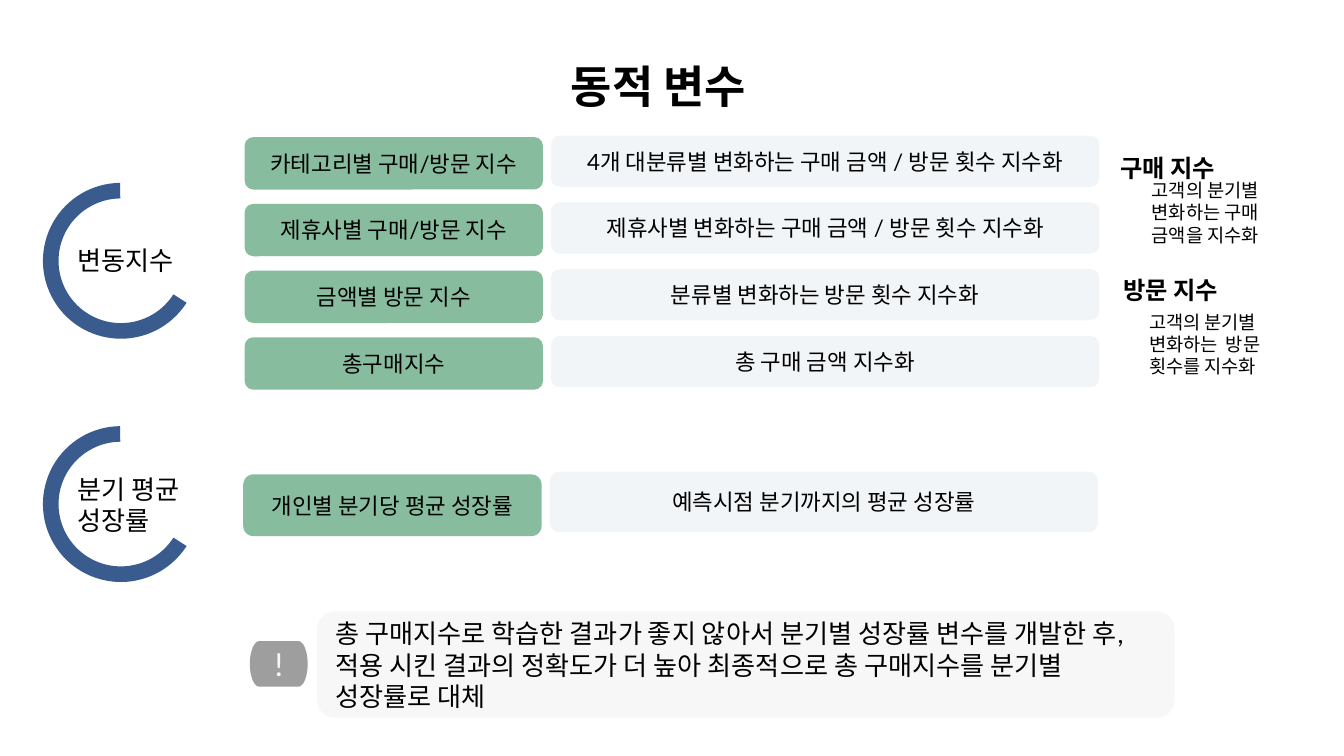
from lxml import etree
from pptx import Presentation
from pptx.dml.color import RGBColor
from pptx.enum.shapes import MSO_SHAPE as Shape
from pptx.enum.text import MSO_ANCHOR as Anchor, PP_ALIGN as Align
from pptx.oxml.ns import qn
from pptx.util import Inches, Pt

BLACK = RGBColor(0x00, 0x00, 0x00)
WHITE = RGBColor(0xFF, 0xFF, 0xFF)
BLUE = RGBColor(0x39, 0x5B, 0x8E)
GREEN = RGBColor(0x87, 0xBC, 0x9E)
PALE_BLUE = RGBColor(0xE3, 0xE9, 0xED)
PALE_GRAY = RGBColor(0xF7, 0xF7, 0xF7)
GRAY = RGBColor(0x9E, 0x9E, 0x9E)

PALE_OPACITY = 44
FIRST_ROW, LAST_ROW = 1.02, 2.51

INDEX_ROWS = [
    ("카테고리별 구매/방문 지수", "4개 대분류별 변화하는 구매 금액 / 방문 횟수 지수화"),
    ("제휴사별 구매/방문 지수", "제휴사별 변화하는 구매 금액 / 방문 횟수 지수화"),
    ("금액별 방문 지수", "분류별 변화하는 방문 횟수 지수화"),
    ("총구매지수", "총 구매 금액 지수화"),
]
ROW_PITCH = (LAST_ROW - FIRST_ROW) / (len(INDEX_ROWS) - 1)
CONCLUSION = [
    "총 구매지수로 학습한 결과가 좋지 않아서 분기별 성장률 변수를 개발한 후,",
    "적용 시킨 결과의 정확도가 더 높아 최종적으로 총 구매지수를 분기별 성장률로 대체",
]


def write(holder, lines, size, color=BLACK, bold=False, align=Align.LEFT,
          anchor=Anchor.MIDDLE, side=0.1):
    frame = holder.text_frame
    frame_format = {
        "word_wrap": True, "vertical_anchor": anchor,
        "margin_left": Inches(side), "margin_right": Inches(side),
        "margin_top": Inches(0.1), "margin_bottom": Inches(0.1),
    }
    for name, value in frame_format.items():
        setattr(frame, name, value)
    for i, line in enumerate(lines):
        paragraph = frame.paragraphs[0] if i == 0 else frame.add_paragraph()
        paragraph.alignment = align
        run = paragraph.add_run()
        run.text = line
        for name, value in {"name": "Lato", "size": Pt(size), "bold": bold}.items():
            setattr(run.font, name, value)
        run.font.color.rgb = color


def add_label(slide, box, text, size, **text_format):
    label = slide.shapes.add_textbox(*map(Inches, box))
    write(label, [text], size, **text_format)


def add_panel(slide, kind, box, fill, opacity=100):
    panel = slide.shapes.add_shape(kind, *map(Inches, box))
    panel.shadow.inherit = False
    panel.line.fill.background()
    panel.fill.solid()
    panel.fill.fore_color.rgb = fill
    if opacity < 100:
        tone = panel.fill._xPr.find(".//" + qn("a:srgbClr"))
        etree.SubElement(tone, qn("a:alpha"), val=str(opacity * 1000))
    return panel


def add_category(slide, left, top, name, text_top, text_height):
    """Open ring with the category name inside."""
    ring = add_panel(slide, Shape.BLOCK_ARC, (left, top, 1.16, 1.16), BLUE)
    ring.rotation = 284.4
    for i, value in enumerate((64.9, 207.01, 0.1)):
        ring.adjustments[i] = value
    add_label(slide, (left + 0.16, top + text_top, 1.04, text_height), name, 14,
              anchor=Anchor.TOP)


def add_variable(slide, left, top, height, name, meaning, meaning_top=-0.01):
    """Green variable name beside its pale description."""
    cells = [
        (name, (left, top, 2.22, height), GREEN, 100),
        (meaning, (left + 2.28, top + meaning_top, 4.08, height - 0.01),
         PALE_BLUE, PALE_OPACITY),
    ]
    for text, box, fill, opacity in cells:
        cell = add_panel(slide, Shape.FLOWCHART_ALTERNATE_PROCESS, box, fill, opacity)
        write(cell, [text], 12, align=Align.CENTER)


def add_definition(slide, left, top, term, meaning, meaning_left, meaning_top):
    """Bold term with an indented explanation below."""
    add_label(slide, (left, top, 1.63, 0.46), term, 13, bold=True)
    add_label(slide, (left + meaning_left, top + meaning_top, 1.72, 0.54), meaning, 10,
              side=0.3)


def add_conclusion(slide, left, top):
    """Exclamation badge and the closing remark."""
    badge = add_panel(slide, Shape.FLOWCHART_TERMINATOR,
                      (left, top + 0.22, 0.43, 0.34), GRAY)
    write(badge, ["!"], 17, color=PALE_GRAY, align=Align.CENTER)
    remark = add_panel(slide, Shape.ROUNDED_RECTANGLE,
                       (left + 0.5, top, 6.38, 0.79), PALE_GRAY)
    write(remark, CONCLUSION, 14)


def main():
    deck = Presentation()
    # Widescreen, 16:9
    deck.slide_width, deck.slide_height = Inches(10), Inches(10 * 9 / 16)
    slide = deck.slides.add_slide(deck.slide_layouts[6])
    slide.background.fill.solid()
    slide.background.fill.fore_color.rgb = WHITE

    # Title
    add_label(slide, (0, 0.34, 9.8, 0.63), "동적 변수", 24, bold=True,
              align=Align.CENTER, anchor=Anchor.TOP)

    # Categories
    add_category(slide, 0.32, 1.36, "변동지수", 0.36, 0.44)
    add_category(slide, 0.32, 3.17, "분기 평균 성장률", 0.25, 0.67)

    # Variables
    for i, (name, meaning) in enumerate(INDEX_ROWS):
        add_variable(slide, 1.82, FIRST_ROW + i * ROW_PITCH, 0.39, name, meaning)
    add_variable(slide, 1.81, 3.53, 0.46, "개인별 분기당 평균 성장률",
                 "예측시점 분기까지의 평균 성장률", meaning_top=-0.02)

    # Definitions
    add_definition(slide, 8.24, 1.02, "구매 지수",
                   "고객의 분기별 변화하는 구매 금액을 지수화", 0.03, 0.29)
    add_definition(slide, 8.26, 1.93, "방문 지수",
                   "고객의 분기별 변화하는  방문 횟수를 지수화", -0.01, 0.36)

    # Conclusion
    add_conclusion(slide, 1.86, 4.55)

    deck.save("out.pptx")


if __name__ == "__main__":
    main()
